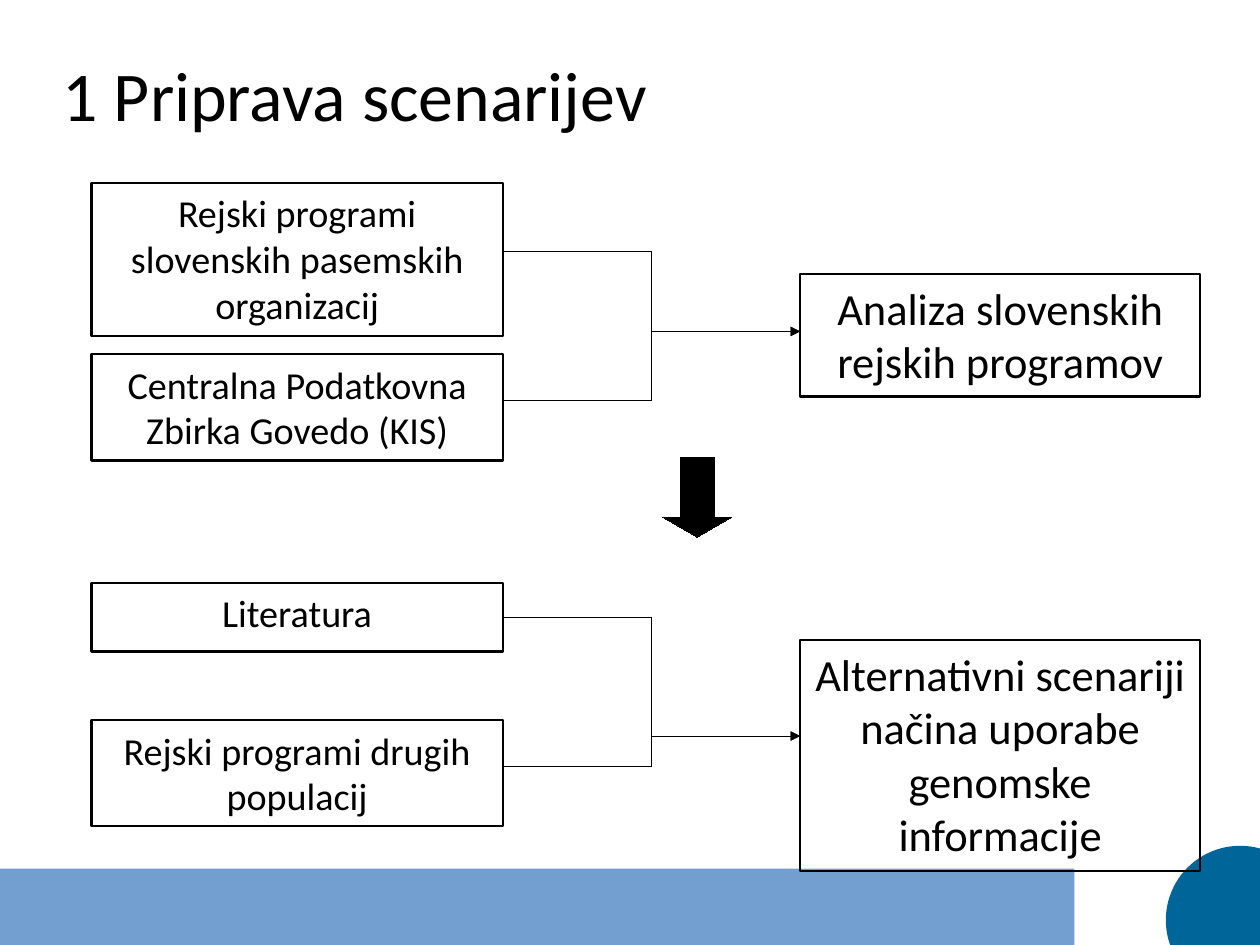
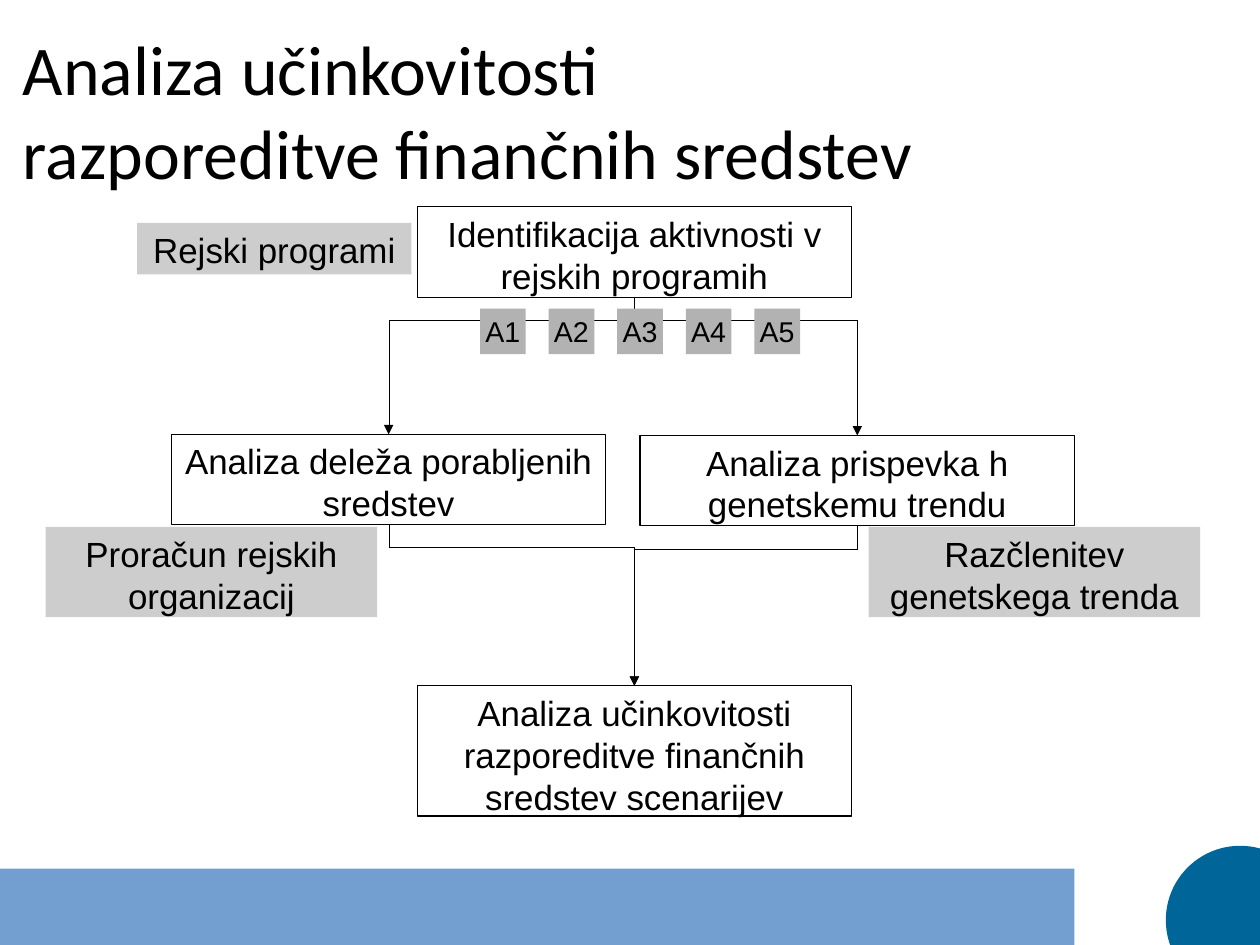
"""Build two flow-diagram slides on breeding programme scenarios and spending efficiency."""
from lxml import etree
from pptx import Presentation
from pptx import util as u
from pptx.dml.color import RGBColor
from pptx.enum import shapes, text
from pptx.oxml.ns import qn

BLACK = RGBColor(0x00, 0x00, 0x00)
BAND_BLUE = RGBColor(0x72, 0x9F, 0xCF)
CIRCLE_BLUE = RGBColor(0x00, 0x66, 0x99)
LABEL_GREY = RGBColor(0xCC, 0xCC, 0xCC)
ACTIVITY_GREY = RGBColor(0xB2, 0xB2, 0xB2)
RECTANGLE = shapes.MSO_SHAPE.RECTANGLE


def add_box(slide, words, left, top, width, height, kind=RECTANGLE, fill=None, alpha=None,
            line=None, size=24, font="Calibri", margins=(0.1, 0.05), wrap=True, grow=True,
            align=text.PP_ALIGN.CENTER, anchor=text.MSO_ANCHOR.TOP):
    """Add a preset shape with formatted text and return it."""
    shape = slide.shapes.add_shape(kind, u.Inches(left), u.Inches(top),
                                   u.Inches(width), u.Inches(height))
    shape.shadow.inherit = False
    if fill is None:
        shape.fill.background()
    else:
        shape.fill.solid()
        shape.fill.fore_color.rgb = fill
    if alpha is not None:
        color = shape.element.spPr.find(qn("a:solidFill"))[0]
        etree.SubElement(color, qn("a:alpha"), val=str(alpha * 1000))
    if line is None:
        shape.line.fill.background()
    else:
        shape.line.color.rgb = BLACK
        shape.element.spPr.find(qn("a:ln")).set("w", str(u.Pt(line)))
    if words:
        frame = shape.text_frame
        frame.word_wrap = wrap
        frame.auto_size = text.MSO_AUTO_SIZE.SHAPE_TO_FIT_TEXT if grow else text.MSO_AUTO_SIZE.NONE
        frame.vertical_anchor = anchor
        frame.margin_left = frame.margin_right = u.Inches(margins[0])
        frame.margin_top = frame.margin_bottom = u.Inches(margins[1])
        paragraph = frame.paragraphs[0]
        paragraph.alignment = align
        run = paragraph.add_run()
        run.text = words
        run.font.size = u.Pt(size)
        run.font.name = font
        run.font.color.rgb = BLACK
    return shape


def add_elbow(slide, start, end, drop=None):
    """Add an elbow arrow; with drop it leaves downwards and turns after that length."""
    (x1, y1), (x2, y2) = start, end
    rotation, bend = 0, 0.5
    if drop is not None:
        bend = drop / (y2 - y1)
        rotation, side = (270, 1) if x2 > x1 else (90, -1)
        middle_x, middle_y = (x1 + x2) / 2, (y1 + y2) / 2
        half_width, half_height = (y2 - y1) / 2, abs(x2 - x1) / 2
        x1, x2 = middle_x + side * half_width, middle_x - side * half_width
        y1, y2 = middle_y - half_height, middle_y + half_height
    connector = slide.shapes.add_connector(shapes.MSO_CONNECTOR.ELBOW, u.Inches(x1), u.Inches(y1),
                                           u.Inches(x2), u.Inches(y2))
    connector.line.color.rgb = BLACK
    properties = connector.element.spPr
    if rotation:
        properties.find(qn("a:xfrm")).set("rot", str(rotation * 60000))
    guides = properties.find(qn("a:prstGeom")).find(qn("a:avLst"))
    etree.SubElement(guides, qn("a:gd"), name="adj1", fmla=f"val {round(bend * 100000)}")
    outline = properties.find(qn("a:ln"))
    outline.set("w", "0")
    etree.SubElement(outline, qn("a:tailEnd"), type="triangle")
    etree.SubElement(properties, qn("a:effectLst"))


presentation = Presentation()
presentation.slide_width = u.Inches(28 / 2.54)
presentation.slide_height = u.Inches(21 / 2.54)

titles = [
    ("1 Priprava scenarijev", 0.55, 0.33, 8.15, 0.97),
    ("Analiza učinkovitosti razporeditve finančnih sredstev", 0.2, 0.21, 8.12, 1.49),
]
for title in titles:
    slide = presentation.slides.add_slide(presentation.slide_layouts[6])
    add_box(slide, "", 0, 7.6, 9.4, 0.7, fill=BAND_BLUE)
    add_box(slide, "", 10.2, 7.4, 1.3, 1.3, kind=shapes.MSO_SHAPE.OVAL, fill=CIRCLE_BLUE)
    add_box(slide, *title, size=44, margins=(0, 0), align=text.PP_ALIGN.LEFT,
            anchor=text.MSO_ANCHOR.MIDDLE)
scenario_slide, efficiency_slide = presentation.slides

sources = [
    ("Rejski programi slovenskih pasemskih organizacij", 1.6, 1.34),
    ("Centralna Podatkovna Zbirka Govedo (KIS)", 3.1, 0.93),
    ("Literatura", 5.1, 0.6),
    ("Rejski programi drugih populacij", 6.3, 0.93),
]
for words, top, height in sources:
    add_box(scenario_slide, words, 0.8, top, 3.6, height, line=1.5, margins=(0.11, 0.06))

results = [
    ("Analiza slovenskih rejskih programov", 2.4, 1.07, 2.9, (3.5, 2.2)),
    ("Alternativni scenariji načina uporabe genomske informacije", 5.6, 2.02, 6.44, (6.7, 5.4)),
]
for words, top, height, arrow_y, source_ys in results:
    add_box(scenario_slide, words, 7, top, 3.5, height, line=1.5, size=28, margins=(0.11, 0.06))
    for source_y in source_ys:
        add_elbow(scenario_slide, (4.4, source_y), (7, arrow_y))

down_arrow = add_box(scenario_slide, "", 5.8, 4, 0.6, 0.7, kind=shapes.MSO_SHAPE.DOWN_ARROW,
                     fill=BLACK, line=0)
down_arrow.adjustments[0] = 0.5
down_arrow.adjustments[1] = 0.29

elbows = [
    ((7.5, 4.6), (5.55, 6)),
    ((3.4, 4.59), (5.55, 6)),
    ((5.55, 2.6), (3.4, 3.8)),
    ((5.55, 2.6), (7.5, 3.81)),
]
for start, end in elbows:
    add_elbow(efficiency_slide, start, end, drop=0.2)

labels = [
    ("Razčlenitev genetskega trenda", 7.6, 4.61, 2.9, 0.79),
    ("Proračun rejskih organizacij", 0.4, 4.61, 2.9, 0.79),
    ("Rejski programi", 1.2, 1.95, 2.4, 0.45),
]
for label in labels:
    add_box(efficiency_slide, *label, fill=LABEL_GREY, alpha=98, size=22, font="Arial")

steps = [
    ("Identifikacija aktivnosti v rejskih programih", 3.65, 1.81, 3.8, 0.79),
    ("Analiza deleža porabljenih sredstev", 1.5, 3.8, 3.8, 0.79),
    ("Analiza prispevka h genetskemu trendu", 5.6, 3.81, 3.8, 0.79),
    ("Analiza učinkovitosti razporeditve finančnih sredstev scenarijev", 3.65, 6, 3.8, 1.14),
]
for step in steps:
    add_box(efficiency_slide, *step, line=0.79, size=22, font="Arial")

for index in range(5):
    add_box(efficiency_slide, f"A{index + 1}", 4.2 + 0.6 * index, 2.7, 0.4, 0.4,
            fill=ACTIVITY_GREY, size=18, font="Arial", wrap=False, grow=False,
            anchor=text.MSO_ANCHOR.MIDDLE)

presentation.save("out.pptx")
